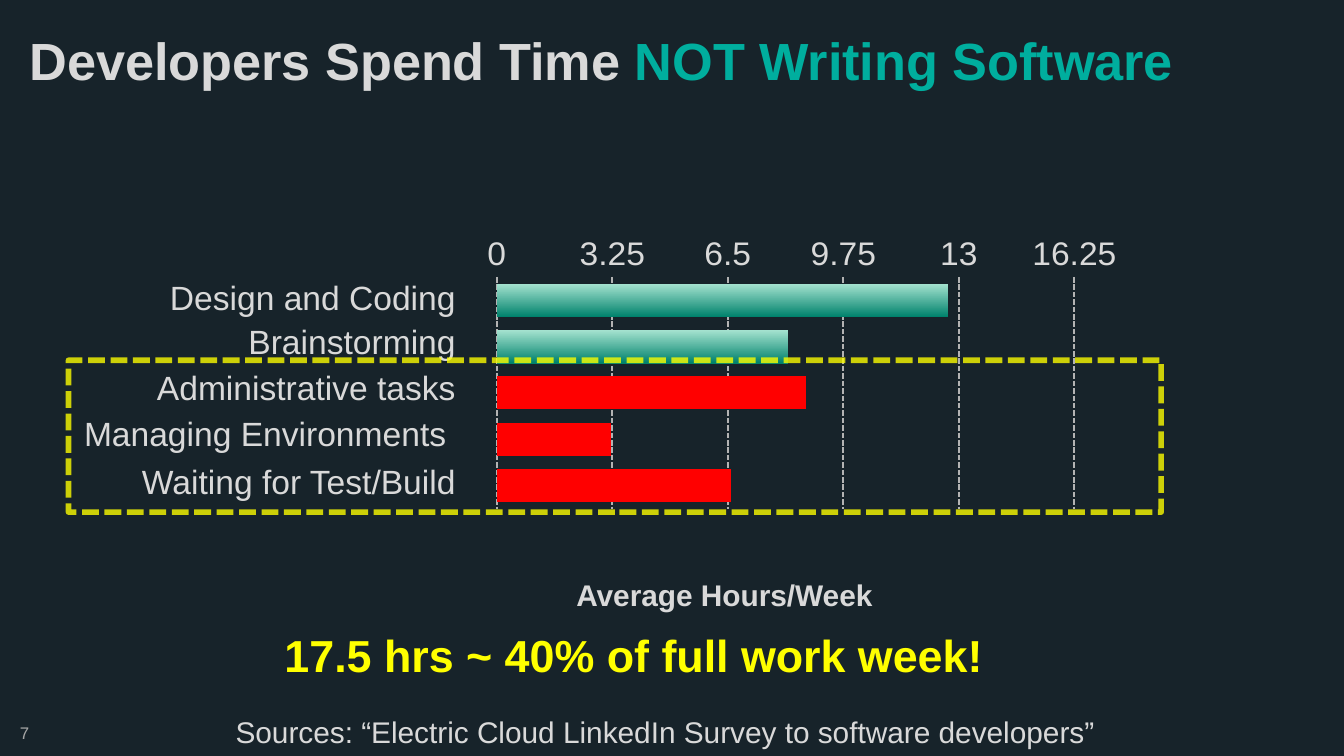
from lxml import etree
from pptx import Presentation
from pptx.chart import data
from pptx.dml.color import RGBColor
from pptx.enum import chart as ch, dml, shapes, text
from pptx.oxml import ns
from pptx.util import Pt

HEX = {"back": "17232A", "light": "D9D9D9", "teal": "00AE9E", "grid": "B3B3B3",
       "red": "FF0000", "yellow": "FFFF00", "gray": "A6A6A6",
       "top": "A6E3D0", "base": "00826C"}
RGB = {name: RGBColor.from_string(code) for name, code in HEX.items()}
ALIGN, ANCHOR = text.PP_ALIGN, text.MSO_ANCHOR


def write(host, words, box, size=18, color="light", bold=False,
          align=ALIGN.CENTER, anchor=ANCHOR.MIDDLE, inset=4.3, wrap=True):
    """Add a text box with one formatted line to a slide's or group's shapes."""
    frame = host.add_textbox(*map(Pt, box)).text_frame
    frame.word_wrap = wrap
    frame.vertical_anchor = anchor
    frame.margin_left = frame.margin_right = Pt(inset)
    frame.margin_top = frame.margin_bottom = Pt(min(inset, 4.3))
    par = frame.paragraphs[0]
    par.alignment = align
    style(par.add_run(), words, size, color, bold)


def style(run, words, size, color, bold):
    run.text = words
    run.font.name = "Arial"
    run.font.size = Pt(size)
    run.font.bold = bold
    run.font.color.rgb = RGB[color]


deck = Presentation()
deck.slide_width, deck.slide_height = Pt(720), Pt(405)
slide = deck.slides.add_slide(deck.slide_layouts[5])
slide.background.fill.solid()
slide.background.fill.fore_color.rgb = RGB["back"]

# Title
title = slide.shapes.title
title.left, title.top, title.width, title.height = map(Pt, (8.6, 11.5, 674.6, 77))
title.text_frame.vertical_anchor = ANCHOR.TOP
title.text_frame.word_wrap = True
head = title.text_frame.paragraphs[0]
head.alignment = ALIGN.LEFT
head.space_after = Pt(3)
style(head.add_run(), "Developers Spend Time ", 28, "light", True)
style(head.add_run(), "NOT Writing Software", 28, "teal", True)

# Bar chart
hours = data.CategoryChartData()
hours.categories = ["1", "2", "3", "4", "5"]
hours.add_series("Series 1", (12.7, 8.2, 8.7, 3.2, 6.6))
chart = slide.shapes.add_chart(
    ch.XL_CHART_TYPE.BAR_CLUSTERED, *map(Pt, (142.6, 126, 561.6, 241.9)), hours).chart
chart.has_title = chart.has_legend = False
chart.font.name = "Arial"
chart.font.size = Pt(10)

cats = chart.category_axis
cats.visible = False
cats.reverse_order = True
cats.crosses = ch.XL_AXIS_CROSSES.MAXIMUM

axis = chart.value_axis
axis.minimum_scale, axis.maximum_scale, axis.major_unit = 0, 16.25, 3.25
axis.major_tick_mark = axis.minor_tick_mark = ch.XL_TICK_MARK.NONE
axis.format.line.fill.background()
axis.tick_labels.number_format = "General"
axis.tick_labels.number_format_is_linked = False
axis.tick_labels.font.name = "Arial"
axis.tick_labels.font.size = Pt(18)
axis.tick_labels.font.color.rgb = RGB["light"]
grid = axis.major_gridlines.format.line
grid.color.rgb = RGB["grid"]
grid.width = Pt(1)
grid.dash_style = dml.MSO_LINE.SQUARE_DOT

plot = chart.plots[0]
plot.gap_width, plot.overlap, plot.vary_by_categories = 40, -10, False
bars = plot.series[0]
bars.invert_if_negative = False
fill = bars.format.fill
fill.gradient()
fill.gradient_angle = 270
for stop, color in zip(fill.gradient_stops, ("top", "base")):
    stop.color.rgb = RGB[color]
for i in (2, 3, 4):
    paint = bars.points[i].format.fill
    paint.solid()
    paint.fore_color.rgb = RGB["red"]

# Inner plot area, as fractions of the chart
area = chart.element.find(".//" + ns.qn("c:plotArea"))
old = area.find(ns.qn("c:layout"))
if old is not None:
    area.remove(old)
layout = etree.Element(ns.qn("c:layout"))
area.insert(0, layout)
manual = etree.SubElement(layout, ns.qn("c:manualLayout"))
for tag, val in (("layoutTarget", "inner"), ("xMode", "edge"), ("yMode", "edge"),
                 ("x", "0.22"), ("y", "0.065"), ("w", "0.551"), ("h", "0.529")):
    etree.SubElement(manual, ns.qn("c:" + tag)).set("val", val)

# Bar labels
group = slide.shapes.add_group_shape()
for words, top in (("Design and Coding", 144), ("Brainstorming", 167.8),
                   ("Administrative tasks", 192.2), ("Managing Environments ", 216.7),
                   ("Waiting for Test/Build", 242.6)):
    write(group.shapes, words, (18.7, top, 229.7, 30.2), align=ALIGN.RIGHT)

# Captions
write(slide.shapes, "Average Hours/Week", (273.6, 304.6, 229, 27.4), size=16, bold=True)
write(slide.shapes, "17.5 hrs ~ 40% of full work week!", (36.7, 331.9, 605.5, 37.4),
      size=24, color="yellow", bold=True)
write(slide.shapes, "Sources: “Electric Cloud LinkedIn Survey to software developers”",
      (121.7, 380.9, 469.4, 22.3), size=16, inset=1.4, wrap=False)
write(slide.shapes, "7", (3.6, 383, 29.5, 21.6), size=9, color="gray",
      align=ALIGN.LEFT, anchor=ANCHOR.TOP, inset=7.2)

# Dashed frame around the non-coding work
frame = slide.shapes.add_shape(shapes.MSO_SHAPE.RECTANGLE, *map(Pt, (36.7, 193, 585.4, 81.4)))
frame.shadow.inherit = False
frame.fill.background()
frame.line.color.rgb = RGB["yellow"]
frame.line.width = Pt(3)
frame.line.dash_style = dml.MSO_LINE.SQUARE_DOT
# python-pptx's SQUARE_DOT is sysDot; both dashed lines need sysDash
for root in (frame.element, chart.element):
    for dash in root.iter(ns.qn("a:prstDash")):
        dash.set("val", "sysDash")
tint = frame.element.spPr.find(".//" + ns.qn("a:srgbClr"))
etree.SubElement(tint, ns.qn("a:alpha")).set("val", "78000")

deck.save("out.pptx")
